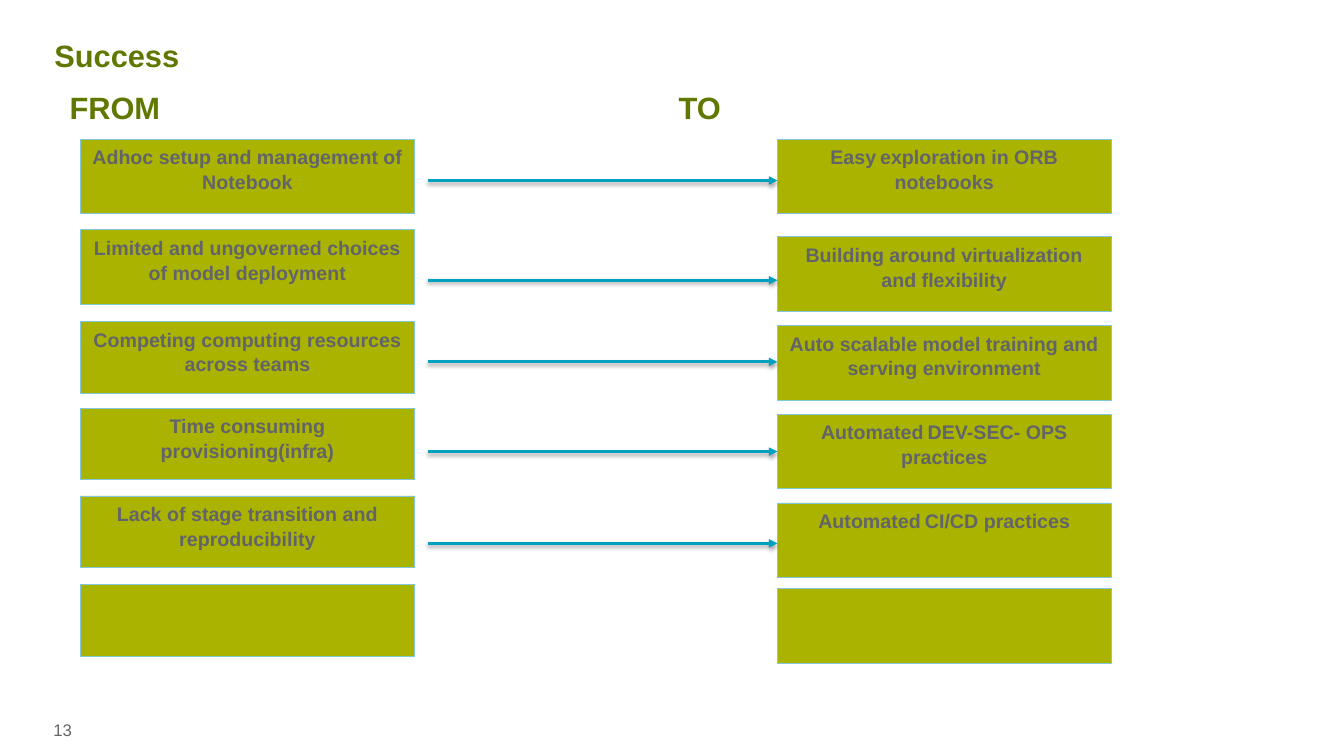
from dataclasses import dataclass

from lxml.etree import SubElement
from pptx import Presentation
from pptx.dml.color import RGBColor
from pptx.enum.shapes import MSO_CONNECTOR, MSO_SHAPE
from pptx.enum.text import MSO_ANCHOR, PP_ALIGN
from pptx.oxml.ns import qn
from pptx.shapes.base import BaseShape
from pptx.shapes.shapetree import SlideShapes
from pptx.util import Inches, Pt

COLORS = {"green": "5F7800", "lime": "AAB400", "sky": "82C8DC",
          "teal": "00A0BE", "gray": "626469", "black": "000000"}
FONT = "Arial"
WIDE, HIGH = Inches(13.33), Inches(7.5)

# Shares of the slide, in percent
FROM_X, TO_X, BOX_W = 6, 57.84, 24.83
ARROW_X = 31.81
TALL, SHORT = 9.87, 9.47


@dataclass
class Label:
    text: str
    x: float
    y: float
    w: float
    h: float
    size: int = 22
    color: str = "green"
    bold: bool = True
    inset: float = 0
    anchor: MSO_ANCHOR = MSO_ANCHOR.TOP


@dataclass
class Box:
    """The texts are joined by small spaces."""
    y: float
    h: float
    texts: tuple[str, ...] = ()


@dataclass
class Step:
    old: Box
    new: Box
    arrow_y: float | None = None


LABELS = [
    Label("13", 3.23, 94.53, 6.08, 5.47, 12, "gray", False, 0.1),
    Label("Success", 4.05, 1.33, 92.5, 11.87, anchor=MSO_ANCHOR.MIDDLE),
    Label("FROM", 5.18, 11.73, 44.34, 74.93),
    Label("TO", 50.49, 11.73, 46.14, 74.93),
]

STEPS = [
    Step(Box(18.4, TALL, ("Adhoc setup and management of Notebook",)),
         Box(18.4, TALL, ("Easy", "exploration in ORB notebooks")), 23.87),
    Step(Box(30.4, TALL, ("Limited and ungoverned choices of model deployment",)),
         Box(31.33, TALL, ("Building around virtualization and flexibility",)), 37.07),
    Step(Box(42.53, SHORT, ("Competing computing resources across teams",)),
         Box(43.07, TALL, ("Auto scalable model training and serving environment",)), 47.87),
    Step(Box(54, SHORT, ("Time consuming provisioning(infra)",)),
         Box(54.8, TALL, ("Automated", "DEV-SEC- OPS practices")), 59.73),
    Step(Box(65.6, SHORT, ("Lack of stage transition and reproducibility",)),
         Box(66.53, TALL, ("Automated", "CI/CD practices")), 71.87),
    Step(Box(77.33, SHORT), Box(77.87, TALL)),
]


def across(share: float) -> int:
    return round(WIDE * share / 100)


def down(share: float) -> int:
    return round(HIGH * share / 100)


def rgb(name: str) -> RGBColor:
    return RGBColor.from_string(COLORS[name])


def style(font, size: int, color: str, bold: bool) -> None:
    font.name, font.size, font.bold = FONT, Pt(size), bold
    font.color.rgb = rgb(color)


def outline(shape: BaseShape, color: str, width: float) -> None:
    shape.line.color.rgb = rgb(color)
    shape.line.width = Pt(width)


def add_label(shapes: SlideShapes, label: Label) -> None:
    frame = shapes.add_textbox(across(label.x), down(label.y),
                               across(label.w), down(label.h)).text_frame
    frame.word_wrap = True
    frame.vertical_anchor = label.anchor
    frame.margin_left = frame.margin_right = Inches(label.inset)
    frame.margin_top = frame.margin_bottom = Inches(label.inset / 2)
    para = frame.paragraphs[0]
    para.text = label.text
    style(para.font, label.size, label.color, label.bold)


def add_box(shapes: SlideShapes, x: float, box: Box) -> None:
    shape = shapes.add_shape(MSO_SHAPE.RECTANGLE, across(x), down(box.y),
                             across(BOX_W), down(box.h))
    shape.shadow.inherit = False
    shape.fill.solid()
    shape.fill.fore_color.rgb = rgb("lime")
    outline(shape, "sky", 0.5)
    frame = shape.text_frame
    frame.word_wrap = True
    frame.vertical_anchor = MSO_ANCHOR.TOP
    para = frame.paragraphs[0]
    para.alignment = PP_ALIGN.CENTER
    para.line_spacing = 1.05
    para.space_after = Pt(6)
    style(para.font, 14, "gray", True)
    for i, text in enumerate(box.texts):
        if i:
            gap = para.add_run()
            gap.text = " "
            gap.font.size = Pt(10)
        para.add_run().text = text


def add_arrow(shapes: SlideShapes, y: float) -> None:
    """Arrow with a soft shadow below it."""
    arrow = shapes.add_connector(MSO_CONNECTOR.STRAIGHT, across(ARROW_X), down(y),
                                 across(TO_X), down(y))
    outline(arrow, "teal", 2)
    props = arrow.element.spPr
    SubElement(props.find(qn("a:ln")), qn("a:tailEnd"), type="triangle")
    effects = SubElement(props, qn("a:effectLst"))
    shade = SubElement(effects, qn("a:outerShdw"), blurRad=str(Pt(3.1)),
                       dist=str(Pt(1.6)), dir="5400000", rotWithShape="0")
    tone = SubElement(shade, qn("a:srgbClr"), val=COLORS["black"])
    SubElement(tone, qn("a:alpha"), val="38000")


def main() -> None:
    deck = Presentation()
    deck.slide_width, deck.slide_height = WIDE, HIGH
    shapes = deck.slides.add_slide(deck.slide_layouts[6]).shapes
    for label in LABELS:
        add_label(shapes, label)
    for step in STEPS:
        add_box(shapes, FROM_X, step.old)
        add_box(shapes, TO_X, step.new)
        if step.arrow_y is not None:
            add_arrow(shapes, step.arrow_y)
    deck.save("out.pptx")


if __name__ == "__main__":
    main()
